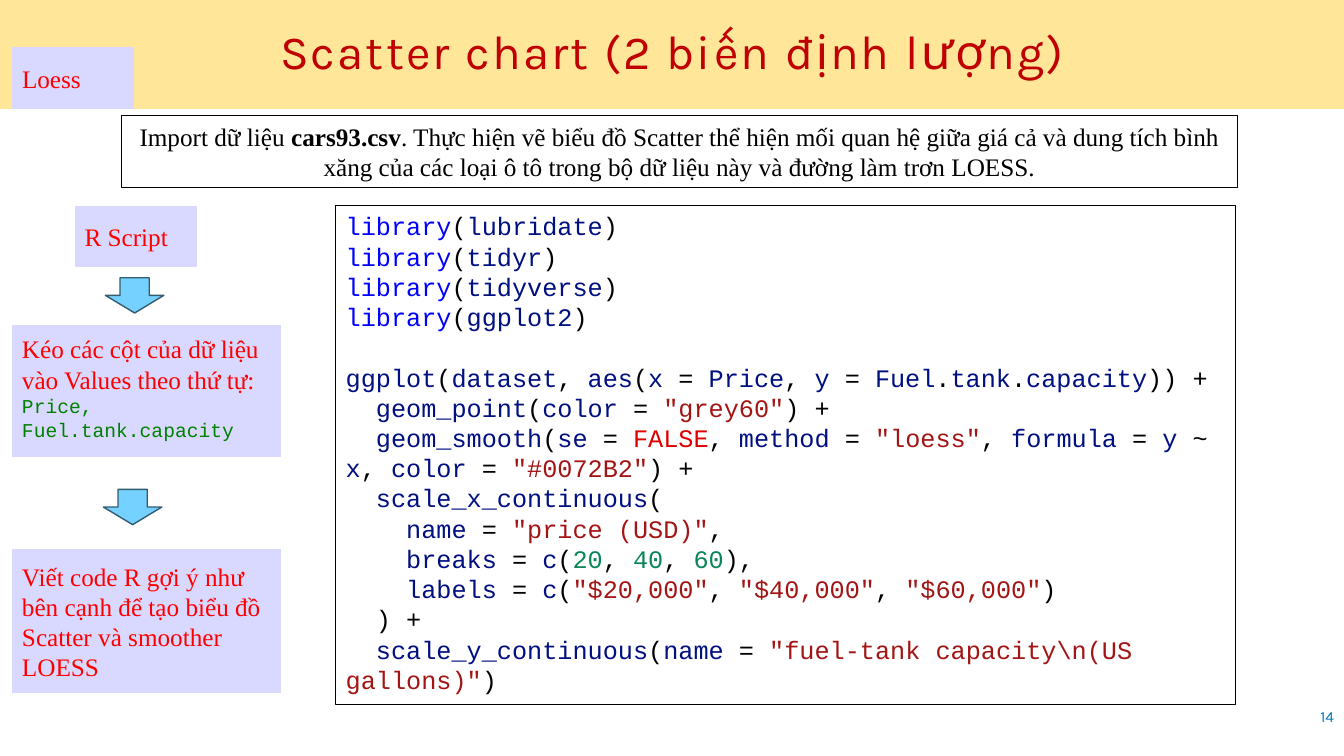
from itertools import groupby
from pptx import Presentation
from pptx.dml.color import RGBColor
from pptx.enum.shapes import MSO_SHAPE
from pptx.enum.text import MSO_ANCHOR, MSO_AUTO_SIZE, PP_ALIGN
from pptx.util import Inches, Pt

PROCESS = MSO_SHAPE.FLOWCHART_PROCESS
RECTANGLE = MSO_SHAPE.RECTANGLE
RIGHT_ARROW = MSO_SHAPE.RIGHT_ARROW
TOP, MIDDLE = MSO_ANCHOR.TOP, MSO_ANCHOR.MIDDLE
LEFT, CENTER, RIGHT = PP_ALIGN.LEFT, PP_ALIGN.CENTER, PP_ALIGN.RIGHT
NO_AUTOFIT = MSO_AUTO_SIZE.NONE
SERIF, MONO, SANS = "Times New Roman", "Courier New", "Karla"
rgb = RGBColor.from_string


def add_block(kind, box, fill=None, line=None, weight=0.75, anchor=MIDDLE):
    block = slide.shapes.add_shape(kind, *map(Inches, box))
    block.shadow.inherit = False
    if fill:
        block.fill.solid()
        block.fill.fore_color.rgb = rgb(fill)
    else:
        block.fill.background()
    if line:
        block.line.color.rgb = rgb(line)
        block.line.width = Pt(weight)
    else:
        block.line.fill.background()
    block.text_frame.word_wrap = True
    block.text_frame.vertical_anchor = anchor
    return block


def style(paragraph, font, size, color, align=LEFT):
    paragraph.font.name = font
    paragraph.font.size = Pt(size)
    paragraph.font.color.rgb = rgb(color)
    paragraph.alignment = align
    paragraph.line_spacing = Pt(size * 1.2)


prs = Presentation()
prs.slide_width, prs.slide_height = Inches(13.33), Inches(7.5)
slide = prs.slides.add_slide(prs.slide_layouts[5])

title = slide.shapes.title
title.left, title.top, title.width, title.height = map(Inches, (0, 0, 13.33, 1.08))
title.fill.solid()
title.fill.fore_color.rgb = rgb("FFE699")
title_frame = title.text_frame
title_frame.text = "Scatter chart (2 biến định lượng)"
title_frame.auto_size = NO_AUTOFIT
title_frame.vertical_anchor = MIDDLE
title_frame.margin_left = title_frame.margin_right = Inches(0.5)
heading = title_frame.paragraphs[0]
style(heading, SANS, 34, "C00000", CENTER)
heading.line_spacing = 0.9
heading.runs[0].font._element.set("spc", "160")

page = slide.shapes.add_textbox(*map(Inches, (10.33, 6.91, 3, 0.4))).text_frame
page.word_wrap = True
page.vertical_anchor = MIDDLE
page.text = "14"
style(page.paragraphs[0], SANS, 11, "0074AF", RIGHT)

steps = [
    ("R Script", (0.74, 2.04, 1.21, 0.61), MIDDLE),
    ("Kéo các cột của dữ liệu vào Values theo thứ tự:", (0.12, 3.22, 2.67, 1.31), TOP),
    ("Viết code R gợi ý như bên cạnh để tạo biểu đồ Scatter và smoother LOESS",
     (0.12, 5.45, 2.67, 1.43), MIDDLE),
    ("Loess", (0.12, 0.47, 1.21, 0.61), MIDDLE),
]
for label, box, anchor in steps:
    step = add_block(PROCESS, box, fill="D9D9FF", anchor=anchor).text_frame
    step.text = label
    style(step.paragraphs[0], SERIF, 18, "FF0000")
    if anchor == TOP:
        step.margin_top = Inches(0.09)
        columns = step.add_paragraph()
        columns.text = "Price, Fuel.tank.capacity"
        style(columns, MONO, 14, "008000")

for left, top in [(1.16, 2.64), (1.14, 4.74)]:
    arrow = add_block(RIGHT_ARROW, (left, top, 0.35, 0.58), "75D1FF", "335C70", 1)
    arrow.rotation = 90

task = add_block(RECTANGLE, (1.21, 1.15, 11.06, 0.71), line="000000", anchor=TOP)
request = task.text_frame.paragraphs[0]
style(request, SERIF, 18, "000000", CENTER)
request.add_run().text = "Import dữ liệu "
data_file = request.add_run()
data_file.text = "cars93.csv"
data_file.font.bold = True
request.add_run().text = (
    ". Thực hiện vẽ biểu đồ Scatter thể hiện mối quan hệ giữa giá cả và dung tích bình "
    "xăng của các loại ô tô trong bộ dữ liệu này và đường làm trơn LOESS."
)

code_lines = [
    (0, 'library(lubridate)'),
    (0, 'library(tidyr)'),
    (0, 'library(tidyverse)'),
    (0, 'library(ggplot2)'),
    (0, 'ggplot(dataset, aes(x = Price, y = Fuel.tank.capacity)) +'),
    (1, 'geom_point(color = "grey60") +'),
    (1, 'geom_smooth(se = FALSE, method = "loess", formula = y ~ x, color = "#0072B2") +'),
    (1, 'scale_x_continuous('),
    (2, 'name = "price (USD)",'),
    (2, 'breaks = c(20, 40, 60),'),
    (2, 'labels = c("$20,000", "$40,000", "$60,000")'),
    (1, ') +'),
    (1, r'scale_y_continuous(name = "fuel-tank capacity\n(US gallons)")'),
]
keyword_colors = {"library": "0000FF", "FALSE": "DD0000"}
code = add_block(RECTANGLE, (3.33, 2.04, 8.92, 4.95), line="000000", anchor=TOP).text_frame
for number, (level, source) in enumerate(code_lines):
    statement = code.add_paragraph() if number else code.paragraphs[0]
    style(statement, MONO, 18, "000000")
    properties = statement._p.get_or_add_pPr()
    properties.set("marL", "0")
    properties.set("indent", str(Inches(0.3 * level)))
    if source.startswith("ggplot"):
        statement.space_before = Pt(21.6)
    tokens = []
    for position, part in enumerate(source.split('"')):
        if position % 2:
            tokens.append((f'"{part}"', "A31515"))
            continue
        for is_word, letters in groupby(part, lambda c: c.isalnum() or c == "_"):
            token = "".join(letters)
            word_color = "098658" if token.isdigit() else keyword_colors.get(token, "001080")
            tokens.append((token, word_color if is_word else "000000"))
    for token, color in tokens:
        run = statement.add_run()
        run.text = token
        run.font.color.rgb = rgb(color)

prs.save("out.pptx")
